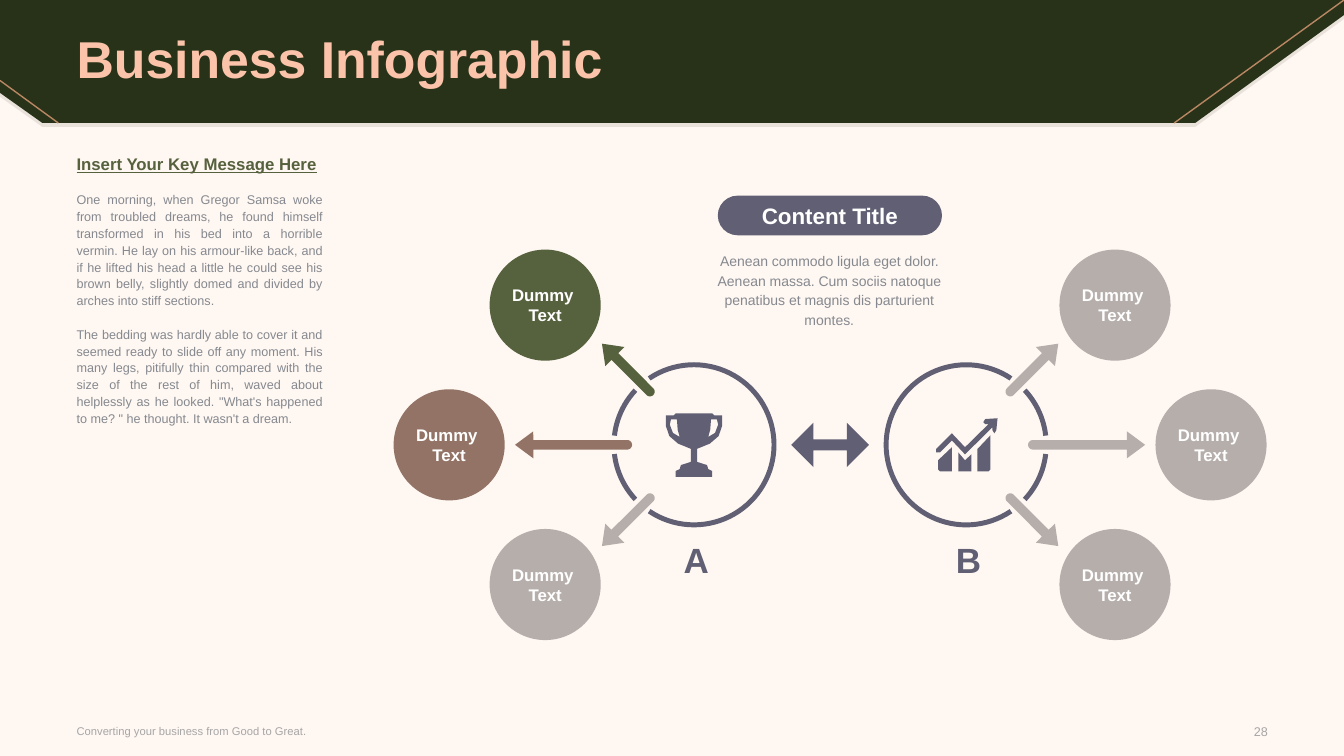
import math
from dataclasses import dataclass

import lxml.etree
import pptx
import pptx.dml.color
import pptx.enum.shapes
import pptx.enum.text
import pptx.oxml.ns
import pptx.util

Cm = pptx.util.Cm
Pt = pptx.util.Pt
Shape = pptx.enum.shapes.MSO_SHAPE
Align = pptx.enum.text.PP_ALIGN
Anchor = pptx.enum.text.MSO_ANCHOR


@dataclass(frozen=True)
class Theme:
    font: str = "Arial"
    paper: str = "FFF7F2"
    white: str = "FFFFFF"
    band: str = "283218"
    peach: str = "FBC4AA"
    copper: str = "B98763"
    slate: str = "605F73"
    green: str = "56613D"
    brown: str = "927365"
    stone: str = "B6AEAB"
    body: str = "85898F"
    muted: str = "A6A6A6"
    title_size: int = 37
    letter_size: int = 25
    pill_size: int = 16
    label_size: int = 12
    content_size: int = 10
    body_size: int = 9
    footer_size: int = 8


def rgb(color):
    return pptx.dml.color.RGBColor.from_string(color)


def shifted(points, x, y):
    return [(x + dx, y + dy) for dx, dy in points]


def mirrored(points):
    return [(-x, y) for x, y in reversed(points)]


class Canvas:
    def __init__(self, slide, theme):
        self.slide = slide
        self.shapes = slide.shapes
        self.theme = theme
        slide.background.fill.solid()
        slide.background.fill.fore_color.rgb = rgb(theme.paper)

    def paint(self, shape, color):
        shape.shadow.inherit = False
        shape.fill.solid()
        shape.fill.fore_color.rgb = rgb(color)
        shape.line.fill.background()
        return shape

    def preset(self, kind, x, y, width, height, color, adjustments=()):
        shape = self.shapes.add_shape(kind, Cm(x), Cm(y), Cm(width), Cm(height))
        for index, value in enumerate(adjustments):
            shape.adjustments[index] = value
        return self.paint(shape, color)

    def outline(self, contours, color):
        contours = [[(Cm(x), Cm(y)) for x, y in contour] for contour in contours]
        builder = self.shapes.build_freeform(*contours[0][0])
        for index, contour in enumerate(contours):
            if index:
                builder.move_to(*contour[0])
            builder.add_line_segments(contour[1:], close=True)
        return self.paint(builder.convert_to_shape(), color)

    def line(self, start, end, color):
        connector = self.shapes.add_connector(
            pptx.enum.shapes.MSO_CONNECTOR.STRAIGHT, *map(Cm, start + end))
        connector.line.color.rgb = rgb(color)
        connector.line.width = Pt(1)
        lxml.etree.SubElement(connector.element.spPr, pptx.oxml.ns.qn("a:effectLst"))

    def fill_text(self, shape, texts, size, color, bold=False, align=Align.LEFT,
                  anchor=Anchor.MIDDLE, spacing=None):
        frame = shape.text_frame
        frame.word_wrap = True
        frame.vertical_anchor = anchor
        frame.margin_left = frame.margin_right = 0
        frame.margin_top = frame.margin_bottom = 0
        frame.text = "\n".join(texts)
        for paragraph in frame.paragraphs:
            paragraph.alignment = align
            paragraph.line_spacing = spacing
            paragraph.font.name = self.theme.font
            paragraph.font.size = Pt(size)
            paragraph.font.bold = bold
            paragraph.font.color.rgb = rgb(color)
        return frame.paragraphs

    def text(self, x, y, width, height, texts, size, color, **style):
        box = self.shapes.add_textbox(Cm(x), Cm(y), Cm(width), Cm(height))
        return self.fill_text(box, texts, size, color, **style)

    def title(self, text):
        title = self.shapes.title
        title.left, title.top, title.width, title.height = map(Cm, (1.93, 0.08, 30, 2.97))
        self.fill_text(title, [text], self.theme.title_size, self.theme.peach, bold=True,
                       spacing=0.9)
        title.element.getparent().append(title.element)

    def band(self):
        edge = [(0, 0), (33.87, 0), (33.87, 0.38), (30.12, 3.1), (1.07, 3.1), (0, 2.34)]
        shadow = self.outline([shifted(edge, 0, 0.1)], self.theme.band)
        color = shadow.element.spPr.find(".//" + pptx.oxml.ns.qn("a:srgbClr"))
        lxml.etree.SubElement(color, pptx.oxml.ns.qn("a:alpha"), val="10000")
        self.outline([edge], self.theme.band)
        self.line((33.87, 0), (29.59, 3.1), self.theme.copper)
        self.line((0, 2.03), (1.47, 3.1), self.theme.copper)

    def ring(self, x, y, side):
        radius = 2.08
        for start, end in ((186.6, 223), (236, 124), (137, 173.4)):
            if side > 0:
                start, end = (180 - end) % 360, (180 - start) % 360
            self.preset(Shape.BLOCK_ARC, x - radius, y - radius, 2 * radius, 2 * radius,
                        self.theme.slate, (start * 0.6, end * 0.6, 0.03))

    def arrow(self, tip_x, tip_y, angle, length, color):
        head, head_half, shaft_half = 0.46, 0.34, 0.12
        points = [(0, 0), (-head, head_half), (-head, shaft_half)]
        for degrees in range(90, 271, 15):
            turn = math.radians(degrees)
            points.append((shaft_half - length + shaft_half * math.cos(turn),
                           shaft_half * math.sin(turn)))
        points += [(-head, -shaft_half), (-head, -head_half)]
        cosine, sine = math.cos(angle), math.sin(angle)
        turned = [(x * cosine - y * sine, x * sine + y * cosine) for x, y in points]
        self.outline([shifted(turned, tip_x, tip_y)], color)

    def bubble(self, x, y, color):
        size = 2.8
        shape = self.preset(Shape.OVAL, x - size / 2, y - size / 2, size, size, color)
        self.fill_text(shape, ["Dummy ", "Text"], self.theme.label_size, self.theme.white,
                       bold=True, align=Align.CENTER)

    def hub(self, x, y, side, letter, colors, icon):
        theme = self.theme
        self.ring(x, y, side)
        for row, color in zip((-1, 0, 1), colors):
            tip_x, bubble_x, length = (2.32, 3.75, 1.83) if row else (4.51, 6.17, 2.95)
            self.arrow(x + side * tip_x, y + row * 2.55, math.atan2(row, side), length, color)
            self.bubble(x + side * bubble_x, y + row * 3.52, color)
        self.outline([shifted(contour, x, y) for contour in icon], theme.slate)
        self.text(x - 1.16, y + 2.35, 2.44, 1.07, [letter], theme.letter_size, theme.slate,
                  bold=True, align=Align.CENTER)


TROPHY_HALF = [(0.46, -0.79), (0.51, -0.74), (0.71, -0.74), (0.71, -0.48), (0.62, -0.22),
               (0.4, -0.03), (0.08, 0.1), (0.08, 0.43), (0.33, 0.51), (0.36, 0.61),
               (0.46, 0.66), (0.46, 0.81)]
TROPHY_HANDLE = [(0.43, -0.64), (0.58, -0.64), (0.61, -0.51), (0.53, -0.3), (0.36, -0.2),
                 (0.41, -0.38)]
TROPHY = [TROPHY_HALF + mirrored(TROPHY_HALF), TROPHY_HANDLE[::-1],
          mirrored(TROPHY_HANDLE)[::-1]]
GROWTH = [
    [(0.48, -0.65), (0.43, -0.57), (0.48, -0.52), (0.56, -0.52), (-0.03, 0.06), (-0.36, -0.29),
     (-0.76, 0.11), (-0.76, 0.19), (-0.66, 0.19), (-0.36, -0.11), (-0.03, 0.24), (0.66, -0.44),
     (0.66, -0.37), (0.71, -0.29), (0.76, -0.37), (0.79, -0.67)],
    [(-0.71, 0.39), (-0.71, 0.62), (-0.66, 0.67), (-0.36, 0.67), (-0.36, 0.06)],
    [(-0.2, 0.19), (-0.2, 0.67), (0.13, 0.67), (0.13, 0.24), (-0.03, 0.39)],
    [(0.28, 0.11), (0.28, 0.67), (0.56, 0.67), (0.61, 0.62), (0.61, -0.24)],
]
MESSAGE = [
    "Insert Your Key Message Here",
    "One morning, when Gregor Samsa woke from troubled dreams, he found himself transformed in "
    "his bed into a horrible vermin. He lay on his armour-like back, and if he lifted his head a "
    "little he could see his brown belly, slightly domed and divided by arches into stiff sections.",
    "The bedding was hardly able to cover it and seemed ready to slide off any moment. His many "
    "legs, pitifully thin compared with the size of the rest of him, waved about helplessly as he "
    "looked. \"What's happened to me? \" he thought. It wasn't a dream.",
]
CONTENT = ("Aenean commodo ligula eget dolor. Aenean massa. Cum sociis natoque penatibus et "
           "magnis dis parturient montes.")


def main():
    theme = Theme()
    presentation = pptx.Presentation()
    presentation.slide_width, presentation.slide_height = Cm(33.87), Cm(19.05)
    canvas = Canvas(presentation.slides.add_slide(presentation.slide_layouts[5]), theme)
    canvas.band()
    canvas.title("Business Infographic")

    message = canvas.text(1.93, 3.96, 6.2, 13.18, MESSAGE, theme.body_size, theme.body,
                          align=Align.JUSTIFY, anchor=Anchor.TOP, spacing=Pt(12))
    for paragraph in message[:-1]:
        paragraph.space_after = Pt(12)
    heading = message[0].font
    heading.size, heading.bold, heading.underline = Pt(theme.label_size), True, True
    heading.color.rgb = rgb(theme.green)

    middle_y = 11.21
    canvas.hub(17.49, middle_y, -1, "A", (theme.green, theme.brown, theme.stone), TROPHY)
    canvas.hub(24.35, middle_y, 1, "B", (theme.stone,) * 3, GROWTH)
    canvas.preset(Shape.LEFT_RIGHT_ARROW, 19.94, middle_y - 0.56, 1.96, 1.12, theme.slate,
                  (0.25, 0.5))

    pill = canvas.preset(Shape.ROUNDED_RECTANGLE, 18.09, 4.93, 5.65, 1, theme.slate, (0.5,))
    canvas.fill_text(pill, ["Content Title"], theme.pill_size, theme.white, bold=True,
                     align=Align.CENTER)
    canvas.text(17.8, 6.3, 6.2, 2.01, [CONTENT], theme.content_size, theme.body,
                align=Align.CENTER, anchor=Anchor.TOP, spacing=Pt(14))

    canvas.text(1.93, 18.08, 13.28, 0.66, ["Converting your business from Good to Great."],
                theme.footer_size, theme.muted)
    canvas.text(30.35, 18.11, 1.6, 0.66, ["28"], theme.body_size, theme.muted, align=Align.RIGHT)
    presentation.save("out.pptx")


if __name__ == "__main__":
    main()
